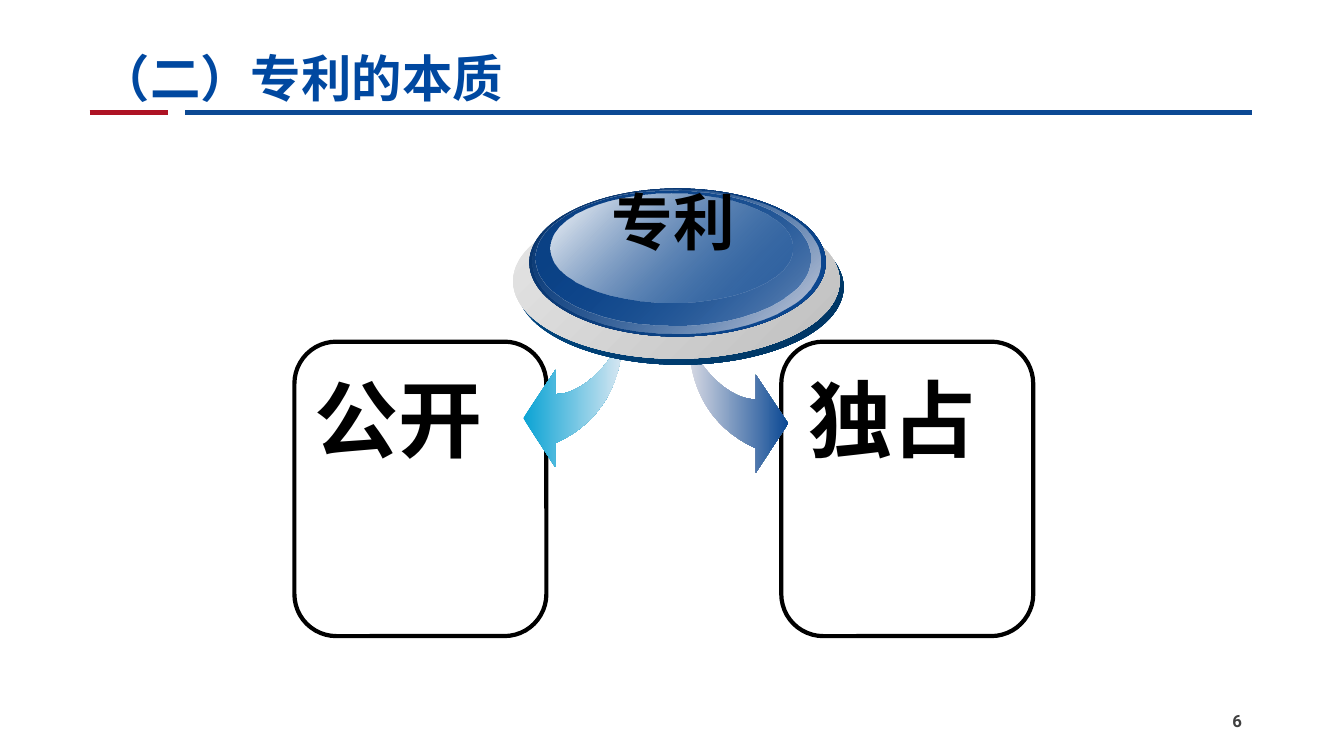
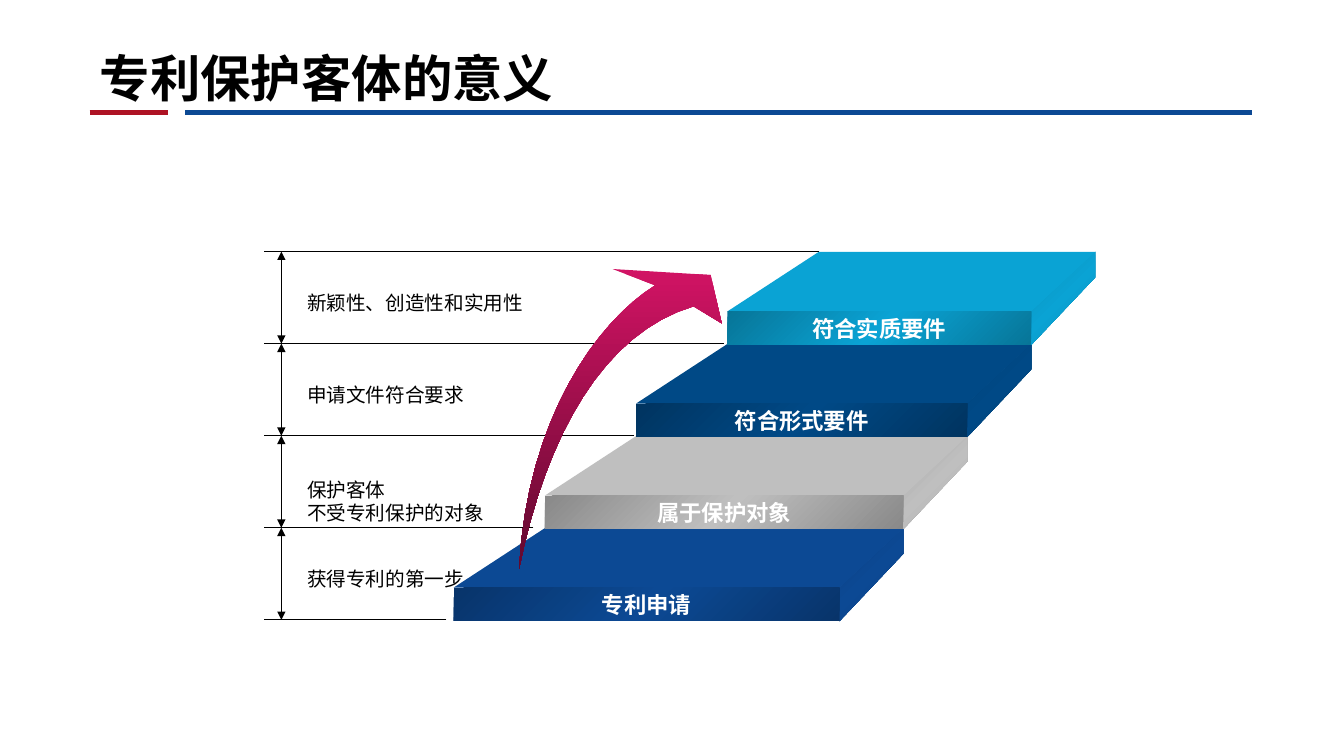
from lxml.etree import SubElement
from pptx import Presentation
from pptx.dml.color import RGBColor
from pptx.enum.shapes import MSO_CONNECTOR, MSO_SHAPE
from pptx.enum.text import MSO_ANCHOR as ANCHOR, PP_ALIGN as ALIGN
from pptx.oxml import parse_xml
from pptx.oxml.ns import nsdecls, qn
from pptx.util import Cm, Pt

# Shared look
BLACK, WHITE, NAVY, RED = "000000", "FFFFFF", "0C4994", "AE1324"
TITLE_BOX = (2.26, 0, 29.29, 2.84)
TITLE_RULES = [(2.26, 4.24, RED), (4.67, 31.55, NAVY)]  # left, right, colour
RULE_Y = 2.84

# Essence of patents: lengths in cm
CARDS = [("公开", 7.42, 0.2), ("独占", 19.69, 0.38)]  # text, left, text inset
CARD_TOP, CARD_W, CARD_H = 8.61, 6.35, 7.42
DISC = [  # box, gradient from and to as (colour, opacity %)
    ((13.03, 5.28, 8.23, 3.91), ("004986", 100), ("003562", 100)),
    ((12.93, 5.13, 8.23, 3.91), ("E6E6E6", 100), ("BFBFBF", 100)),
    ((13.34, 4.75, 7.47, 3.73), ("09346A", 100), (NAVY, 100)),
    ((13.41, 4.78, 7.26, 3.63), (NAVY, 0), ("D4D6E1", 100)),
    ((13.49, 4.8, 6.93, 3.4), ("0B4286", 100), (NAVY, 48)),
    ((13.87, 4.88, 6.1, 2.74), (WHITE, 100), (NAVY, 38)),
]
# Outline: outer curve, arrow head corners, inner curve
BRANCH = (
    [(0, 0), (0, 1.27), (0.51, 2.29), (1.7, 2.84)],
    [(1.7, 3.45), (2.51, 2.21), (1.7, 0.99)],
    [(1.7, 1.6), (1.07, 1.65), (0.15, 0.76), (0.03, 0)],
)
BRANCHES = [  # root x, root y, direction, colours from left to right
    (15.7, 8.33, -1, ("0AA3D4", "D8E7F2")),
    (17.35, 8.46, 1, ("D8DAE4", NAVY)),
]

# Meaning of the protected object: from the lowest step up
STEPS = [
    ("专利申请", NAVY),
    ("属于保护对象", "BFBFBF"),
    ("符合形式要件", "004986"),
    ("符合实质要件", "0AA3D4"),
]
STEP_LEFT, STEP_RIGHT, STEP_TOP, STEP_H = 11.43, 21.16, 14.81, 0.84
LEFT_SHIFT, RIGHT_SHIFT, RISE = 2.3, 1.61, 2.32
DEPTH, BACK_H = 1.5, 0.64
NOTES = [
    ("获得专利的第一步", 14.15),
    ("保护客体\n不受专利保护的对象", 11.91),
    ("申请文件符合要求", 9.53),
    ("新颖性、创造性和实用性", 7.21),
]
LEVEL_ENDS = [11.25, 13.44, 15.98, 18.24, 20.65]
LEVEL_LEFT, LEVEL_BOTTOM, GAUGE_X, NOTE_LEFT = 6.65, 15.62, 7.09, 7.49
CLIMB = (
    [(13.08, 14.35), (13.28, 10.54), (15.06, 8.1), (16.51, 7.19)],
    [(15.44, 6.78), (17.91, 6.93), (18.19, 8.15)],
    [(17.48, 7.72), (15.24, 8.38), (13.77, 10.92), (13.08, 14.35)],
)


def rgb(colour):
    return RGBColor.from_string(colour)


def shade(colour, factor):
    return "".join(f"{int(int(colour[i:i + 2], 16) * factor):02X}" for i in (0, 2, 4))


def cm(*values):
    return [Cm(v) for v in values]


def bezier(points, steps=16):
    """Sample a cubic curve given by its four control points."""
    def at(t):
        u = 1 - t
        weights = (u ** 3, 3 * u * u * t, 3 * u * t * t, t ** 3)
        return tuple(sum(w * p[axis] for w, p in zip(weights, points)) for axis in (0, 1))
    return [at(i / steps) for i in range(steps + 1)]


def curved_arrow(outer, head, inner):
    return bezier(outer) + head + bezier(inner)


def set_gradient(s, stops, angle):
    """Fill evenly spaced stops, each a colour or (colour, opacity %)."""
    s.fill.background()
    grad = parse_xml(f'<a:gradFill {nsdecls("a")} rotWithShape="1"/>')
    stop_list = SubElement(grad, qn("a:gsLst"))
    for i, stop in enumerate(stops):
        colour, opacity = (stop, 100) if isinstance(stop, str) else stop
        gs = SubElement(stop_list, qn("a:gs"), pos=str(i * 100000 // (len(stops) - 1)))
        clr = SubElement(gs, qn("a:srgbClr"), val=colour)
        if opacity < 100:
            SubElement(clr, qn("a:alpha"), val=str(opacity * 1000))
    SubElement(grad, qn("a:lin"), ang=str(angle * 60000), scaled="0")
    props = s.element.spPr
    props.replace(props.find(qn("a:noFill")), grad)


def paint(s, fill, angle=45):
    """Apply a plain colour or a list of gradient stops, without outline."""
    s.shadow.inherit = False
    s.line.fill.background()
    if isinstance(fill, str):
        s.fill.solid()
        s.fill.fore_color.rgb = rgb(fill)
    else:
        set_gradient(s, fill, angle)


def add_outline(slide, points, fill, angle=45):
    points = [cm(*p) for p in points]
    builder = slide.shapes.build_freeform(*points[0])
    builder.add_line_segments(points[1:], close=True)
    paint(builder.convert_to_shape(), fill, angle)


def add_line(slide, x1, y1, x2, y2, colour=BLACK, width=0.75, arrows=False):
    s = slide.shapes.add_connector(MSO_CONNECTOR.STRAIGHT, *cm(x1, y1, x2, y2))
    s.line.color.rgb = rgb(colour)
    s.line.width = Pt(width)
    if arrows:
        for end in ("a:headEnd", "a:tailEnd"):
            SubElement(s.line._get_or_add_ln(), qn(end), type="triangle")
    SubElement(s.element.spPr, qn("a:effectLst"))
    return s


def set_text(s, text, size, font, colour=BLACK, bold=True, align=ALIGN.LEFT,
             anchor=ANCHOR.TOP, wrap=True):
    tf = s.text_frame
    tf.text = text
    tf.word_wrap = wrap
    tf.vertical_anchor = anchor
    for p in tf.paragraphs:
        p.alignment = align
        for r in p.runs:
            r.font.size, r.font.name, r.font.bold = Pt(size), font, bold
            r.font.color.rgb = rgb(colour)


def add_text(slide, box, *args, **style):
    set_text(slide.shapes.add_textbox(*cm(*box)), *args, **style)


def add_slide(prs, title, colour):
    slide = prs.slides.add_slide(prs.slide_layouts.get_by_name("Title Only"))
    set_text(slide.shapes.title, title, 36, "Arial Narrow", colour, anchor=ANCHOR.BOTTOM)
    return slide


def prepare_layout(prs):
    layout = prs.slide_layouts.get_by_name("Title Only")
    for s in list(layout.placeholders):
        if s.placeholder_format.idx:
            s.element.getparent().remove(s.element)
        else:
            s.left, s.top, s.width, s.height = cm(*TITLE_BOX)
    return layout


def add_title_rules(slide, layout):
    """Draw the rules, then move them to the layout that all slides use."""
    rules = [add_line(slide, x1, RULE_Y, x2, RULE_Y, colour, 3.5)
             for x1, x2, colour in TITLE_RULES]
    for s in rules:
        layout.shapes.element.append(s.element)


def build_essence(slide):
    for text, left, inset in CARDS:
        s = slide.shapes.add_shape(MSO_SHAPE.ROUNDED_RECTANGLE,
                                   *cm(left, CARD_TOP, CARD_W, CARD_H))
        s.shadow.inherit = False
        s.fill.background()
        s.line.color.rgb = rgb(BLACK)
        s.line.width = Pt(3)
        set_text(s, text, 60, "Arial")
        s.text_frame.margin_left, s.text_frame.margin_top = cm(inset, 0.35)
    for x, y, direction, colours in BRANCHES:
        points = [(x + direction * dx, y + dy) for dx, dy in curved_arrow(*BRANCH)]
        add_outline(slide, points, colours, 0)
    for box, *stops in DISC:
        paint(slide.shapes.add_shape(MSO_SHAPE.OVAL, *cm(*box)), stops)
    add_text(slide, (15.14, 4.52, 3.66, 2.74), "专利", 44, "Arial",
             align=ALIGN.CENTER, wrap=False)
    add_text(slide, (23.93, 17.65, 7.62, 1.02), "6", 12, "Roboto", "3F3F3F",
             align=ALIGN.RIGHT, anchor=ANCHOR.MIDDLE)


def add_step(slide, i, text, colour):
    left, right = STEP_LEFT + i * LEFT_SHIFT, STEP_RIGHT + i * RIGHT_SHIFT
    top = STEP_TOP - i * RISE
    back_left, back_right, back = left + LEFT_SHIFT, right + RIGHT_SHIFT, top - DEPTH
    side_ends, front_ends = shade(colour, 0.87), shade(colour, 0.72)
    add_outline(slide, [(back_right, back + BACK_H), (right, top + STEP_H),
                        (right, top), (back_right, back)],
                (side_ends, colour, side_ends))
    add_outline(slide, [(right, top), (left, top), (back_left, back), (back_right, back)],
                colour)
    front = slide.shapes.add_shape(MSO_SHAPE.RECTANGLE,
                                   *cm(left, top, right - left, STEP_H))
    paint(front, (front_ends, colour, front_ends))
    set_text(front, text, 16, "DejaVu Sans", WHITE, align=ALIGN.CENTER,
             anchor=ANCHOR.MIDDLE, wrap=False)


def build_meaning(slide):
    levels = [LEVEL_BOTTOM - i * RISE for i in range(len(LEVEL_ENDS))]
    for y, end in zip(levels, LEVEL_ENDS):
        add_line(slide, end, y, LEVEL_LEFT, y)
    for low, high in zip(levels, levels[1:]):
        add_line(slide, GAUGE_X, high, GAUGE_X, low, arrows=True)
    for text, top in NOTES:
        height = 0.86 + 0.59 * text.count("\n")
        add_text(slide, (NOTE_LEFT, top, 6.1, height), text, 14, "DejaVu Sans", bold=False)
    for i, step in enumerate(STEPS):
        add_step(slide, i, *step)
    add_outline(slide, curved_arrow(*CLIMB), ("D11364", "61092E"), 90)


def main():
    prs = Presentation()
    prs.slide_width, prs.slide_height = cm(33.87, 19.05)
    layout = prepare_layout(prs)
    essence = add_slide(prs, "（二）专利的本质", "0048A0")
    add_title_rules(essence, layout)
    build_essence(essence)
    build_meaning(add_slide(prs, "专利保护客体的意义", BLACK))
    prs.save("out.pptx")


if __name__ == "__main__":
    main()
